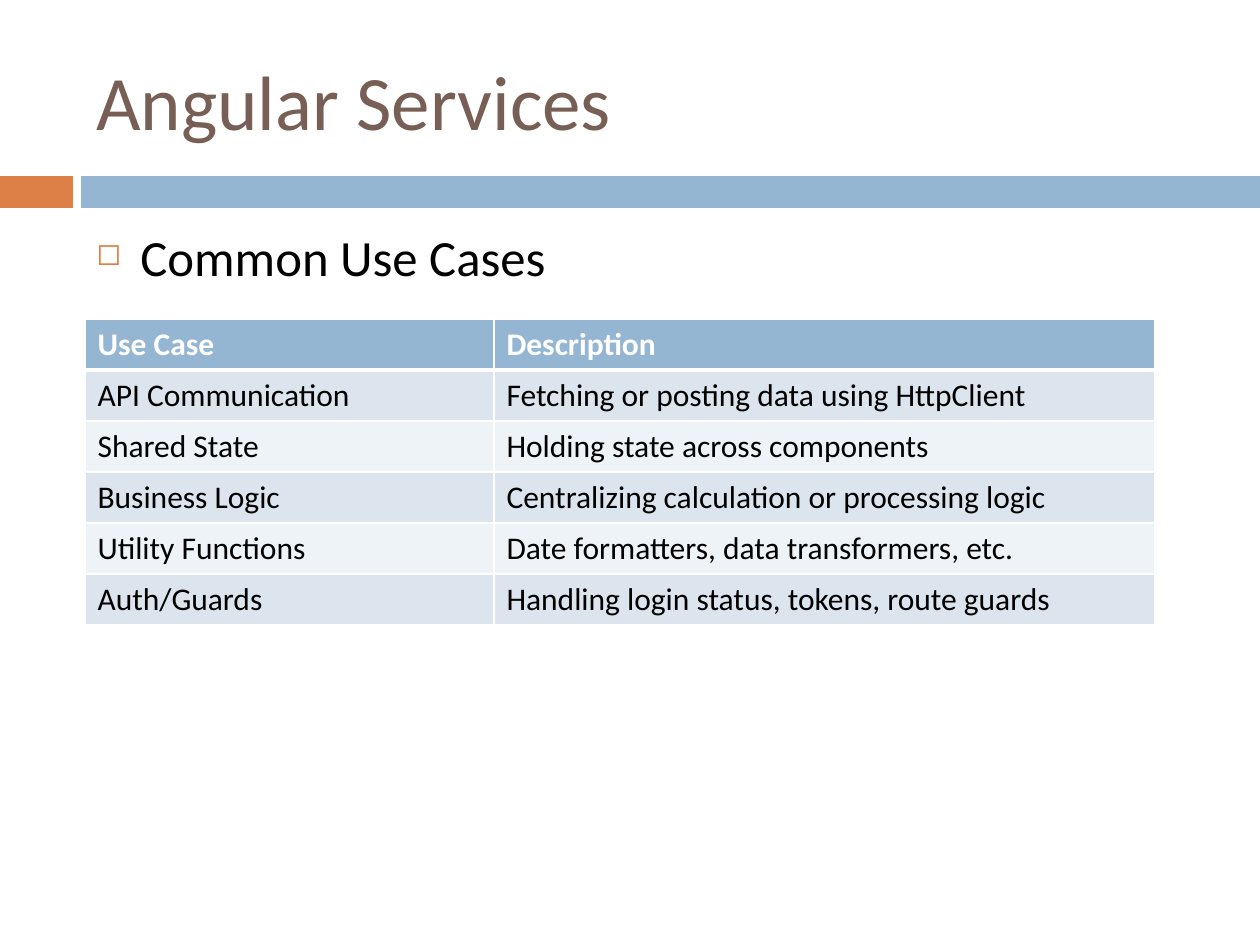
from lxml import etree
from pptx import Presentation
from pptx import util as u
from pptx.dml.color import RGBColor
from pptx.enum import shapes, text
from pptx.oxml.ns import qn

SCALE = 914400 / 126
FONT = "Calibri"
HUES = {
    "brown": "775F55", "orange": "DD8047", "blue": "94B6D2",
    "dark": "DCE5EE", "light": "EEF3F7", "white": "FFFFFF", "black": "000000",
}
ROWS = [
    ("Use Case", "Description"),
    ("API Communication", "Fetching or posting data using HttpClient"),
    ("Shared State", "Holding state across components"),
    ("Business Logic", "Centralizing calculation or processing logic"),
    ("Utility Functions", "Date formatters, data transformers, etc."),
    ("Auth/Guards", "Handling login status, tokens, route guards"),
]


def px(n):
    return u.Emu(round(n * SCALE))


def hue(name):
    return RGBColor.from_string(HUES[name])


def add_run(para, words, size, color, bold=False):
    run = para.add_run()
    run.text = words
    font = run.font
    font.name, font.size, font.bold = FONT, u.Pt(size), bold
    font.color.rgb = hue(color)


def add_text(slide, box, anchor):
    frame = slide.shapes.add_textbox(*map(px, box)).text_frame
    frame.word_wrap = True
    frame.vertical_anchor = anchor
    return frame.paragraphs[0]


def add_bars(slide, x, y, w, h):
    # Short accent, gap, then the long bar
    short, gap = 73, 8
    start = short + gap
    for left, width, color in ((0, short, "orange"), (start, w - start, "blue")):
        bar = slide.shapes.add_shape(
            shapes.MSO_SHAPE.RECTANGLE, px(x + left), px(y), px(width), px(h))
        bar.shadow.inherit = False
        bar.fill.solid()
        bar.fill.fore_color.rgb = hue(color)
        bar.line.fill.background()


def add_title(slide, *box):
    para = add_text(slide, box, text.MSO_ANCHOR.MIDDLE)
    add_run(para, "Angular Services", 44, "brown")


def add_body(slide, *box):
    para = add_text(slide, box, text.MSO_ANCHOR.TOP)
    para.space_before = u.Pt(7)
    add_run(para, "Common Use Cases", 29, "black")
    # Hollow square bullet with a hanging indent
    props = para._p.get_or_add_pPr()
    props.set("marL", str(px(44)))
    props.set("indent", str(px(-44)))
    tint = etree.SubElement(props, qn("a:buClr"))
    etree.SubElement(tint, qn("a:srgbClr"), val=HUES["orange"])
    etree.SubElement(props, qn("a:buSzPct"), val="60000")
    etree.SubElement(props, qn("a:buChar"), char="◻")


def add_edges(cell, top, bottom):
    props = cell._tc.get_or_add_tcPr()
    for side, width in (("L", 1), ("R", 1), ("T", top), ("B", bottom)):
        line = etree.SubElement(props, qn("a:ln" + side), w=str(u.Pt(width)))
        fill = etree.SubElement(line, qn("a:solidFill"))
        etree.SubElement(fill, qn("a:srgbClr"), val=HUES["white"])


def add_cases(slide, x, y, w, h):
    table = slide.shapes.add_table(
        len(ROWS), 2, px(x), px(y), px(w), px(h)).table
    first = 409
    for col, width in zip(table.columns, (first, w - first)):
        col.width = px(width)
    for i, row in enumerate(ROWS):
        table.rows[i].height = px(h / len(ROWS))
        head = i == 0
        shade = "blue" if head else ("light", "dark")[i % 2]
        for j, words in enumerate(row):
            cell = table.cell(i, j)
            # A thick rule parts the header from the rows
            add_edges(cell, 3 if i == 1 else 1, 3 if head else 1)
            cell.fill.solid()
            cell.fill.fore_color.rgb = hue(shade)
            cell.vertical_anchor = text.MSO_ANCHOR.MIDDLE
            add_run(cell.text_frame.paragraphs[0], words, 18,
                    "white" if head else "black", head)


def main():
    deck = Presentation()
    deck.slide_width, deck.slide_height = px(1260), px(945)
    slide = deck.slides.add_slide(deck.slide_layouts[6])
    add_bars(slide, 0, 176, 1260, 32)
    add_title(slide, 84, 32, 1124, 136)
    add_body(slide, 84, 220, 1124, 620)
    add_cases(slide, 85, 319, 1070, 306)
    deck.save("out.pptx")


if __name__ == "__main__":
    main()
